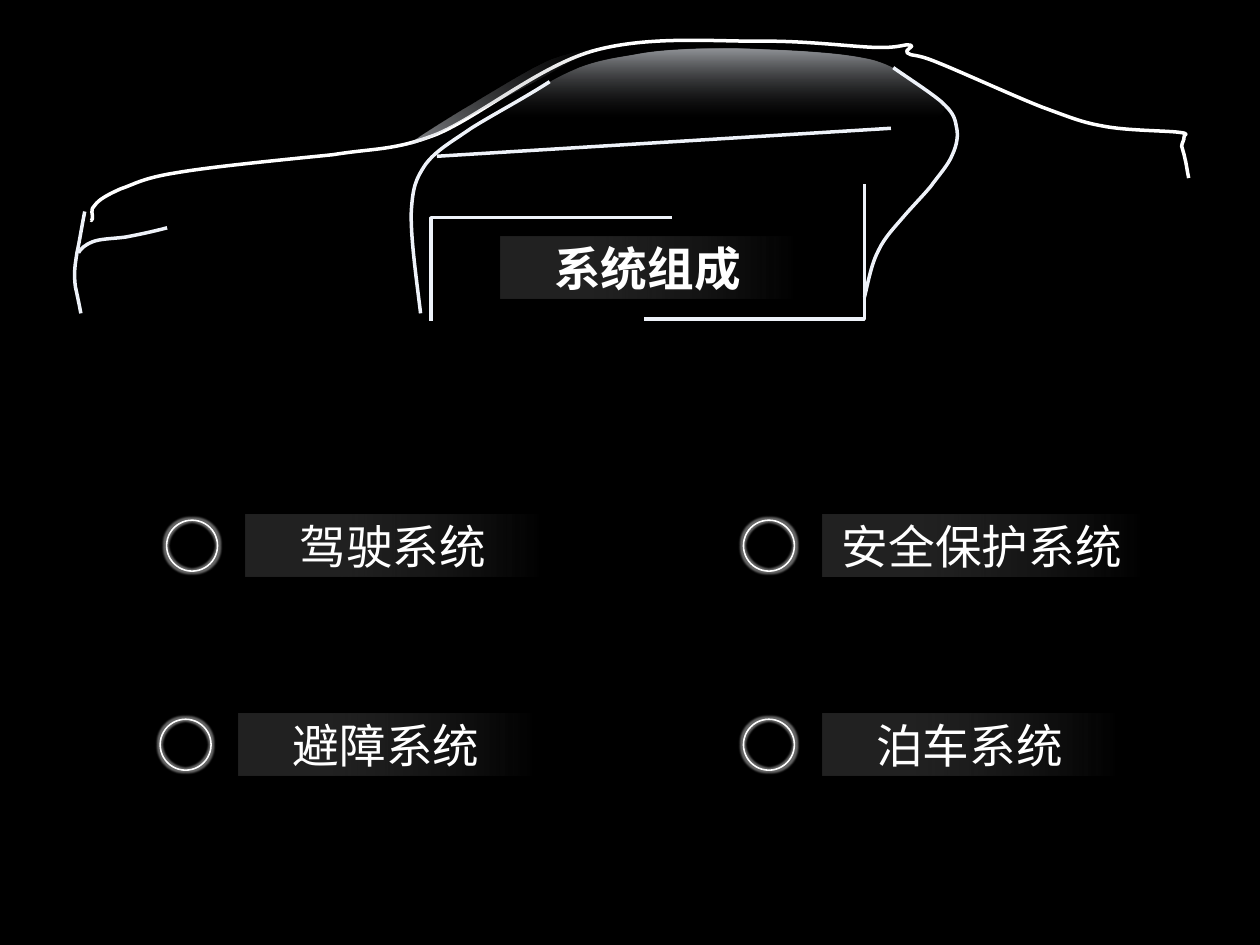
from dataclasses import dataclass

from lxml import etree
from pptx import Presentation
from pptx.dml.color import RGBColor
from pptx.enum.shapes import MSO_CONNECTOR, MSO_SHAPE
from pptx.enum.text import MSO_ANCHOR, PP_ALIGN
from pptx.oxml.ns import qn
from pptx.util import Pt

STRAIGHT = MSO_CONNECTOR.STRAIGHT
RECTANGLE, OVAL = MSO_SHAPE.RECTANGLE, MSO_SHAPE.OVAL
MIDDLE, CENTER = MSO_ANCHOR.MIDDLE, PP_ALIGN.CENTER


@dataclass(frozen=True)
class Theme:
    background: str = "000000"
    white: str = "FFFFFF"
    trim: str = "EEF2F9"
    font: str = "Montserrat"
    label_size: float = 60
    car_line: float = 4.5
    ring_line: float = 2
    glow_radius: float = 5
    glow_opacity: int = 40
    # Each gradient: (position, colour, opacity in percent) stops, then clockwise angle
    window: tuple = (((0, "EEF2F9", 61), (0.63, "4F5053", 0)), 90)
    windscreen: tuple = (((0, "EEF2F9", 61), (1, "4F5053", 0)), 315)
    label: tuple = (((0, "BFBFBF", 0), (0.69, "808080", 26)), 180)


# Outlines: a start point, then segments of one point (line) or three points (Bézier curve).
BODY = [
    (117, 283),
    [(117, 284), (118, 284), (119, 281)],
    [(120, 277), (115, 269), (122, 264)],
    [(127, 257), (137, 251), (155, 243)],
    [(173, 237), (183, 229), (228, 222)],
    [(274, 214), (379, 204), (428, 199)],
    [(485, 190), (505, 194), (561, 173)],
    [(616, 150), (693, 86), (761, 66)],
    [(830, 46), (913, 53), (973, 53)],
    [(1035, 52), (1094, 60), (1126, 61)],
    [(1159, 62), (1164, 56), (1171, 58)],
    [(1178, 59), (1162, 65), (1167, 68)],
    [(1173, 73), (1176, 68), (1205, 80)],
    [(1233, 91), (1305, 124), (1341, 138)],
    [(1377, 151), (1390, 157), (1418, 162)],
    [(1447, 168), (1498, 168), (1515, 170)],
    [(1533, 172), (1522, 173), (1523, 176)],
    [(1524, 179), (1520, 184), (1520, 188)],
    [(1521, 193), (1523, 197), (1524, 203)],
    [(1526, 210), (1527, 220), (1529, 229)],
]
WINDOW = [
    (569, 202),
    [(636, 141), (649, 139), (699, 110)],
    [(749, 81), (772, 78), (814, 71)],
    [(855, 63), (898, 63), (947, 63)],
    [(996, 64), (1071, 67), (1110, 75)],
    [(1149, 82), (1163, 98), (1180, 109)],
    [(1197, 119), (1215, 128), (1215, 138)],
    [(1214, 148), (1189, 161), (1178, 168)],
    [(1166, 174), (1175, 168), (1099, 173)],
    [(723, 193)],
    [(639, 197), (642, 199), (601, 202)],
]
REAR_DOOR = [
    (1149, 87),
    [(1169, 101), (1197, 119), (1211, 131)],
    [(1225, 144), (1228, 150), (1230, 162)],
    [(1233, 174), (1231, 186), (1225, 199)],
    [(1220, 212), (1207, 226), (1197, 240)],
    [(1186, 253), (1174, 265), (1162, 279)],
    [(1151, 292), (1138, 305), (1130, 322)],
    [(1121, 339), (1117, 361), (1112, 382)],
]
FRONT_DOOR = [
    (707, 105),
    [(673, 127), (633, 148), (606, 165)],
    [(580, 183), (560, 194), (547, 212)],
    [(535, 230), (531, 240), (529, 272)],
    [(528, 304), (535, 354), (541, 403)],
]
BUMPER = [
    (109, 272),
    [(105, 292), (102, 312), (99, 325)],
    [(97, 338), (96, 344), (96, 351)],
    [(96, 358), (96, 361), (97, 369)],
    [(99, 378), (102, 392), (104, 403)],
]
HEADLAMP = [
    (101, 325),
    [(104, 320), (109, 315), (119, 311)],
    [(129, 307), (145, 307), (161, 305)],
    [(177, 302), (196, 298), (215, 293)],
]
WINDSCREEN = [
    (525, 186),
    [(549, 169), (576, 152), (607, 134)],
    [(637, 116), (679, 89), (708, 77)],
    [(737, 66), (773, 61), (780, 61)],
    [(786, 60), (768, 63), (750, 71)],
    [(732, 79), (699, 99), (674, 112)],
    [(598, 153)],
    [(577, 165), (559, 175), (544, 181)],
    [(530, 186), (520, 188), (510, 189)],
]
TITLE_FRAMES = [
    [(864, 280), [(554.4, 280)], [(554.4, 413.3)]],
    [(829, 410.4), [(1111.7, 410.4)], [(1111.7, 237)]],
]

# Ring left, ring top, label width, label
SYSTEMS = [
    (214.3, 669, 379, "驾驶系统"),
    (206, 925, 379, "避障系统"),
    (956.3, 669, 410.4, "安全保护系统"),
    (956.3, 925, 379, "泊车系统"),
]
RING_SIZE, LABEL_HEIGHT = 65.5, 80
LABEL_SHIFT = 101.4


def add_alpha(color_element, percent):
    etree.SubElement(color_element, qn("a:alpha")).set("val", str(percent * 1000))


def bend(shape, segments):
    """Replace the straight steps of a freeform by its Bézier segments."""
    steps = list(shape.element.spPr.iter(qn("a:lnTo")))
    for step, segment in zip(steps, segments):
        if len(segment) == 1:
            continue
        curve = etree.Element(qn("a:cubicBezTo"))
        for x, y in segment:
            etree.SubElement(curve, qn("a:pt"), x=str(Pt(x) - shape.left),
                             y=str(Pt(y) - shape.top))
        step.getparent().replace(step, curve)


class Painter:
    def __init__(self, page, theme):
        self.page, self.theme = page, theme
        page.background.fill.solid()
        page.background.fill.fore_color.rgb = RGBColor.from_string(theme.background)

    def stroke(self, line, color, width):
        line.color.rgb = RGBColor.from_string(color)
        line.width = Pt(width)

    def blend(self, shape, gradient):
        stops, angle = gradient
        shape.fill.gradient()
        shape.fill.gradient_angle = (360 - angle) % 360
        for stop, (position, color, _) in zip(shape.fill.gradient_stops, stops):
            stop.position = position
            stop.color.rgb = RGBColor.from_string(color)
        colors = shape.element.spPr.iter(qn("a:srgbClr"))
        for color_element, (_, _, opacity) in zip(colors, stops):
            add_alpha(color_element, opacity)
        shape.line.fill.background()

    def freeform(self, parent, outline):
        start, *segments = outline
        builder = parent.build_freeform(*map(Pt, start))
        ends = [tuple(map(Pt, segment[-1])) for segment in segments]
        builder.add_line_segments(ends, close=False)
        shape = builder.convert_to_shape()
        shape.shadow.inherit = False
        bend(shape, segments)
        return shape

    def contour(self, parent, outline, color):
        shape = self.freeform(parent, outline)
        shape.fill.background()
        self.stroke(shape.line, color, self.theme.car_line)

    def glass(self, parent, outline, gradient):
        self.blend(self.freeform(parent, outline), gradient)

    def straight(self, parent, start, end):
        line = parent.add_connector(STRAIGHT, *map(Pt, (*start, *end)))
        self.stroke(line.line, self.theme.trim, self.theme.car_line)
        etree.SubElement(line.element.spPr, qn("a:effectLst"))

    def ring(self, left, top):
        shape = self.page.shapes.add_shape(OVAL, *map(Pt, (left, top, RING_SIZE, RING_SIZE)))
        shape.fill.background()
        self.stroke(shape.line, self.theme.white, self.theme.ring_line)
        shape.shadow.inherit = False
        effects = shape.element.spPr.find(qn("a:effectLst"))
        glow = etree.SubElement(effects, qn("a:glow"), rad=str(Pt(self.theme.glow_radius)))
        color = etree.SubElement(glow, qn("a:srgbClr"), val=self.theme.white)
        add_alpha(color, self.theme.glow_opacity)

    def label(self, left, top, width, text, bold=False):
        box = self.page.shapes.add_shape(RECTANGLE, *map(Pt, (left, top, width, LABEL_HEIGHT)))
        box.shadow.inherit = False
        self.blend(box, self.theme.label)
        frame = box.text_frame
        frame.word_wrap, frame.vertical_anchor = True, MIDDLE
        para = frame.paragraphs[0]
        para.text, para.alignment = text, CENTER
        para.font.name, para.font.size = self.theme.font, Pt(self.theme.label_size)
        para.font.bold = bold
        para.font.color.rgb = RGBColor.from_string(self.theme.white)


def main():
    deck = Presentation()
    deck.slide_width, deck.slide_height = Pt(1620.72), Pt(1215.36)
    page = deck.slides.add_slide(deck.slide_layouts[6])
    theme = Theme()
    painter = Painter(page, theme)

    car = page.shapes.add_group_shape().shapes
    painter.contour(car, BODY, theme.white)
    painter.glass(car, WINDOW, theme.window)
    for outline in (REAR_DOOR, FRONT_DOOR):
        painter.contour(car, outline, theme.trim)
    painter.straight(car, (562, 201), (1146, 165))
    for outline in (BUMPER, HEADLAMP):
        painter.contour(car, outline, theme.trim)
    painter.glass(car, WINDSCREEN, theme.windscreen)

    painter.label(643.5, 304, 379, "系统组成", bold=True)
    for frame in TITLE_FRAMES:
        painter.contour(page.shapes, frame, theme.trim)
    for left, top, width, text in SYSTEMS:
        painter.ring(left, top)
        label_top = top + (RING_SIZE - LABEL_HEIGHT) / 2
        painter.label(left + LABEL_SHIFT, label_top, width, text)
    deck.save("out.pptx")


if __name__ == "__main__":
    main()
